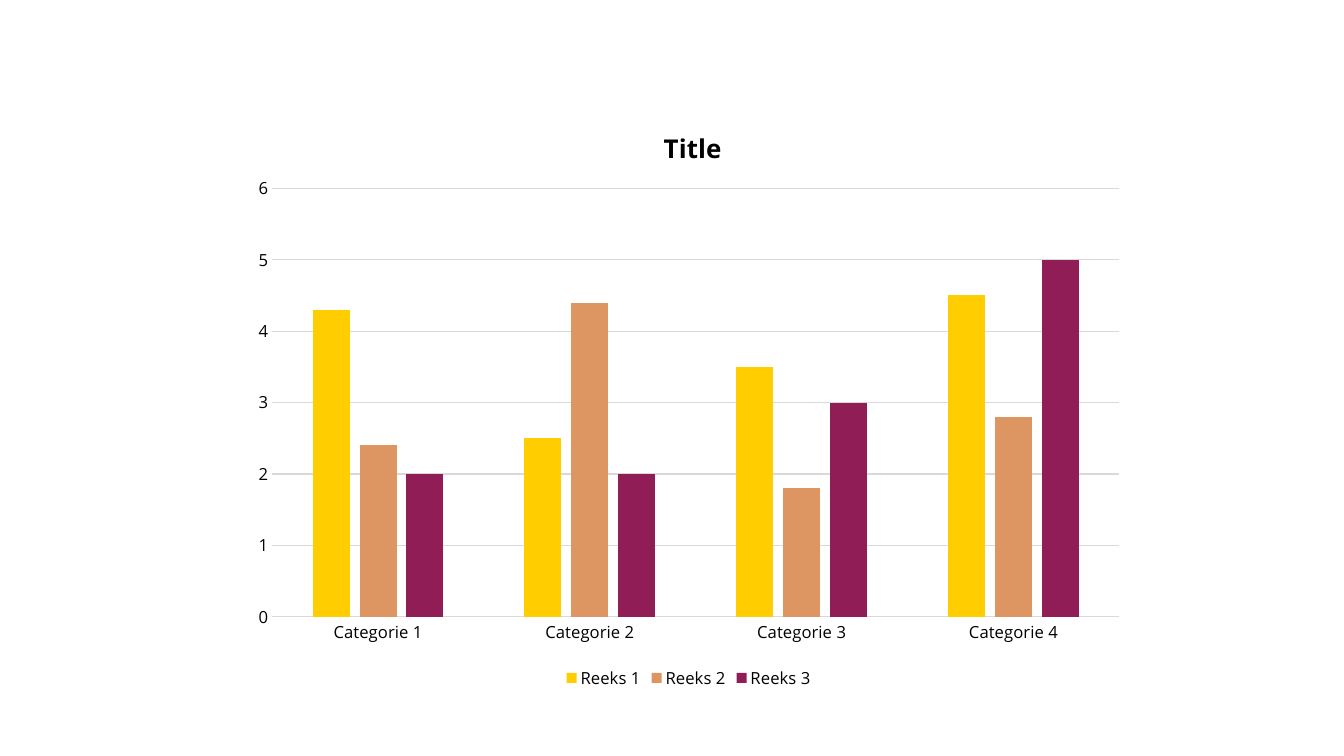
"""Build a slide with one clustered column chart of three series."""
from lxml.etree import SubElement
from pptx import Presentation
from pptx.chart.data import CategoryChartData
from pptx.dml.color import RGBColor
from pptx.enum.chart import XL_CHART_TYPE, XL_LEGEND_POSITION, XL_TICK_MARK
from pptx.oxml.ns import qn
from pptx.util import Inches, Pt

TITLE = "Title"
CATEGORIES = ["Categorie 1", "Categorie 2", "Categorie 3", "Categorie 4"]
SERIES = [
    ("Reeks 1", (4.3, 2.5, 3.5, 4.5), "yellow"),
    ("Reeks 2", (2.4, 4.4, 1.8, 2.8), "orange"),
    ("Reeks 3", (2, 2, 3, 5), "purple"),
]
COLOURS = {
    "yellow": "FFCD00",
    "orange": "DD9562",
    "purple": "911D56",
    "text": "000000",
    "grid": "D9D9D9",
}
FONT = "Open Sans"
LABEL_SIZE, TITLE_SIZE = 11.9, 18.5
SLIDE_WIDTH, SLIDE_HEIGHT = Inches(13.34), Inches(7.5)
CHART_LEFT, CHART_TOP, CHART_WIDTH, CHART_HEIGHT = Inches(2.39), Inches(0.95), Inches(8.89), Inches(5.93)
PLOT_SHARES = {"x": 0.035, "y": 0.155, "w": 0.946, "h": 0.717}
TITLE_SHARES = {"x": 0.467, "y": 0.044}


def colour(name):
    """Return the named colour."""
    return RGBColor.from_string(COLOURS[name])


def style_font(font, size, bold=False):
    """Apply the chart typeface, size and colour."""
    font.name, font.size, font.bold = FONT, Pt(size), bold
    font.color.rgb = colour("text")


def style_line(line):
    """Draw a thin grey line."""
    line.color.rgb = colour("grid")
    line.width = Pt(0.75)


def place(element, index, shares, inner=False):
    """Fix a chart part at shares of the chart's size."""
    for old in element.findall(qn("c:layout")):
        element.remove(old)
    layout = SubElement(element, qn("c:layout"))
    element.insert(index, layout)
    manual = SubElement(layout, qn("c:manualLayout"))
    if inner:
        SubElement(manual, qn("c:layoutTarget")).set("val", "inner")
    for side in ("x", "y"):
        SubElement(manual, qn(f"c:{side}Mode")).set("val", "edge")
    for side, share in shares.items():
        SubElement(manual, qn(f"c:{side}")).set("val", str(share))


def add_column_chart(slide):
    """Add the styled chart to the slide."""
    data = CategoryChartData()
    data.categories = CATEGORIES
    for name, values, _ in SERIES:
        data.add_series(name, values)
    chart = slide.shapes.add_chart(
        XL_CHART_TYPE.COLUMN_CLUSTERED, CHART_LEFT, CHART_TOP, CHART_WIDTH, CHART_HEIGHT, data
    ).chart
    style_font(chart.font, LABEL_SIZE)

    chart.has_title = True
    run = chart.chart_title.text_frame.paragraphs[0].add_run()
    run.text = TITLE
    style_font(run.font, TITLE_SIZE, bold=True)
    chart.chart_title.include_in_layout = False

    chart.has_legend = True
    chart.legend.position = XL_LEGEND_POSITION.BOTTOM
    chart.legend.include_in_layout = False
    style_font(chart.legend.font, LABEL_SIZE)

    plot = chart.plots[0]
    plot.gap_width, plot.overlap, plot.vary_by_categories = 219, -27, False
    for series, (_, _, fill_name) in zip(plot.series, SERIES):
        series.format.fill.solid()
        series.format.fill.fore_color.rgb = colour(fill_name)
        series.invert_if_negative = False

    for axis in (chart.category_axis, chart.value_axis):
        axis.major_tick_mark = axis.minor_tick_mark = XL_TICK_MARK.NONE
        style_font(axis.tick_labels.font, LABEL_SIZE)
    style_line(chart.category_axis.format.line)
    values = chart.value_axis
    values.minimum_scale, values.maximum_scale, values.major_unit = 0, 6, 1
    values.format.line.fill.background()
    values.has_major_gridlines = True
    style_line(values.major_gridlines.format.line)

    chart_element = chart.element.find(qn("c:chart"))
    place(chart_element.find(qn("c:title")), 1, TITLE_SHARES)
    place(chart_element.find(qn("c:plotArea")), 0, PLOT_SHARES, inner=True)


def main():
    """Create and save the presentation."""
    presentation = Presentation()
    presentation.slide_width, presentation.slide_height = SLIDE_WIDTH, SLIDE_HEIGHT
    slide = presentation.slides.add_slide(presentation.slide_layouts[6])
    add_column_chart(slide)
    presentation.save("out.pptx")


if __name__ == "__main__":
    main()
